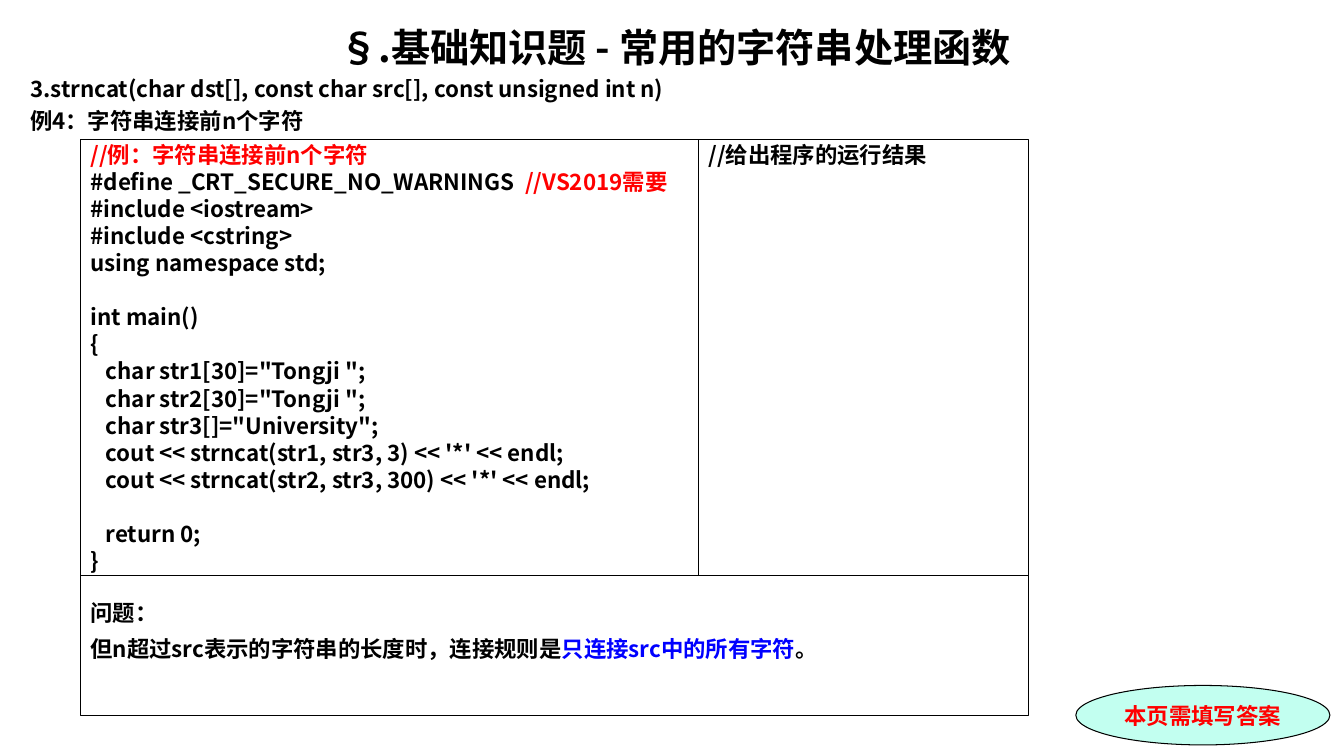
from lxml import etree
from pptx import Presentation
from pptx.dml.color import RGBColor
from pptx.enum.shapes import MSO_SHAPE as Shape
from pptx.enum.text import MSO_ANCHOR as Anchor, PP_ALIGN as Align
from pptx.oxml.ns import qn
from pptx.util import Inches, Pt

BLACK = RGBColor(0, 0, 0)
RED = RGBColor(255, 0, 0)
BLUE = RGBColor(0, 0, 255)
MINT = RGBColor(0xC2, 0xFF, 0xF0)
SANS = "Noto Sans CJK SC"
SERIF = "Times New Roman"
LINE_PITCH = 19.35

CODE = """#include <iostream>
#include <cstring>
using namespace std;

int main()
{
   char str1[30]="Tongji ";
   char str2[30]="Tongji ";
   char str3[]="University";
   cout << strncat(str1, str3, 3) << '*' << endl;
   cout << strncat(str2, str3, 300) << '*' << endl;

   return 0;
}"""


def add_span(para, text, color=BLACK, size=16, font=SANS):
    """Append one bold run to a paragraph."""
    span = para.add_run()
    span.text = text
    span.font.size = Pt(size)
    span.font.bold = True
    span.font.name = font
    span.font.color.rgb = color
    east_asian = etree.SubElement(span.font._element, qn("a:ea"))
    east_asian.set("typeface", SANS)


def add_lines(frame, lines, gap=0, size=16):
    """Fill a frame with lines of (text, color) spans; an empty line widens the next gap."""
    para = frame.paragraphs[0]
    before = 0
    for index, spans in enumerate(lines):
        if not spans:
            before += LINE_PITCH
            continue
        if index:
            para = frame.add_paragraph()
            para.space_before = Pt(before)
        para.alignment = Align.LEFT
        para.line_spacing = Pt(LINE_PITCH)
        for text, color in spans:
            add_span(para, text, color, size)
        before = gap


def add_heading(page, left, top, width, height):
    """Add the title and the two lines that introduce the example."""
    frame = page.shapes.add_textbox(*map(Inches, (left, top, width, height))).text_frame
    frame.word_wrap = True
    rows = [("§.基础知识题 - 常用的字符串处理函数", 28, Align.CENTER),
            ("3.strncat(char dst[], const char src[], const unsigned int n)", 16, Align.JUSTIFY),
            ("例4：字符串连接前n个字符", 16, Align.JUSTIFY)]
    for index, (text, size, align) in enumerate(rows):
        para = frame.add_paragraph() if index else frame.paragraphs[0]
        para.alignment = align
        para.line_spacing = Pt(size * 1.21)
        if index:
            para.space_before = Pt(size * 0.2)
        add_span(para, text, size=size)


def add_panel(page, kind, left, top, width, height, anchor=Anchor.MIDDLE, inset=0.05):
    """Add a thinly outlined shape without fill."""
    panel = page.shapes.add_shape(kind, *map(Inches, (left, top, width, height)))
    panel.shadow.inherit = False
    panel.fill.background()
    panel.line.color.rgb = BLACK
    panel.line.width = Pt(0.75)
    panel.text_frame.word_wrap = True
    panel.text_frame.vertical_anchor = anchor
    panel.text_frame.margin_top = Inches(inset)
    return panel


def add_exercise(page, left, top, width, height):
    """Add the code, result and question panels that tile one box."""
    code_width, code_height = 6.13, 4.33
    code = add_panel(page, Shape.RECTANGLE, left, top, code_width, code_height)
    lines = [[("//例：字符串连接前n个字符", RED)],
             [("#define _CRT_SECURE_NO_WARNINGS", BLACK), ("  //VS2019需要", RED)]]
    lines += [[(line, BLACK)] if line else [] for line in CODE.split("\n")]
    add_lines(code.text_frame, lines)

    question = add_panel(page, Shape.RECTANGLE, left, top + code_height,
                         width, height - code_height, Anchor.TOP, 0.23)
    add_lines(question.text_frame,
              [[("问题：", BLACK)],
               [("但n超过src表示的字符串的长度时，连接规则是", BLACK),
                ("只连接src中的所有字符", BLUE), ("。", BLACK)]], gap=6.7)

    result = add_panel(page, Shape.RECTANGLE, left + code_width, top,
                       width - code_width, code_height, Anchor.TOP, 0.02)
    add_lines(result.text_frame, [[("//给出程序的运行结果", BLACK)]])


def add_reminder(page, left, top, width, height):
    """Add the oval that asks for an answer."""
    oval = add_panel(page, Shape.OVAL, left, top, width, height)
    oval.fill.solid()
    oval.fill.fore_color.rgb = MINT
    para = oval.text_frame.paragraphs[0]
    para.alignment = Align.CENTER
    add_span(para, "本页需填写答案", RED, font=SERIF)


def main():
    """Build and save the slide."""
    deck = Presentation()
    deck.slide_width, deck.slide_height = Inches(13.33), Inches(7.5)
    page = deck.slides.add_slide(deck.slide_layouts[6])
    add_heading(page, 0.2, 0.18, 12.99, 1.2)
    add_reminder(page, 10.67, 6.8, 2.52, 0.59)
    add_exercise(page, 0.8, 1.38, 9.4, 5.72)
    deck.save("out.pptx")


if __name__ == "__main__":
    main()
